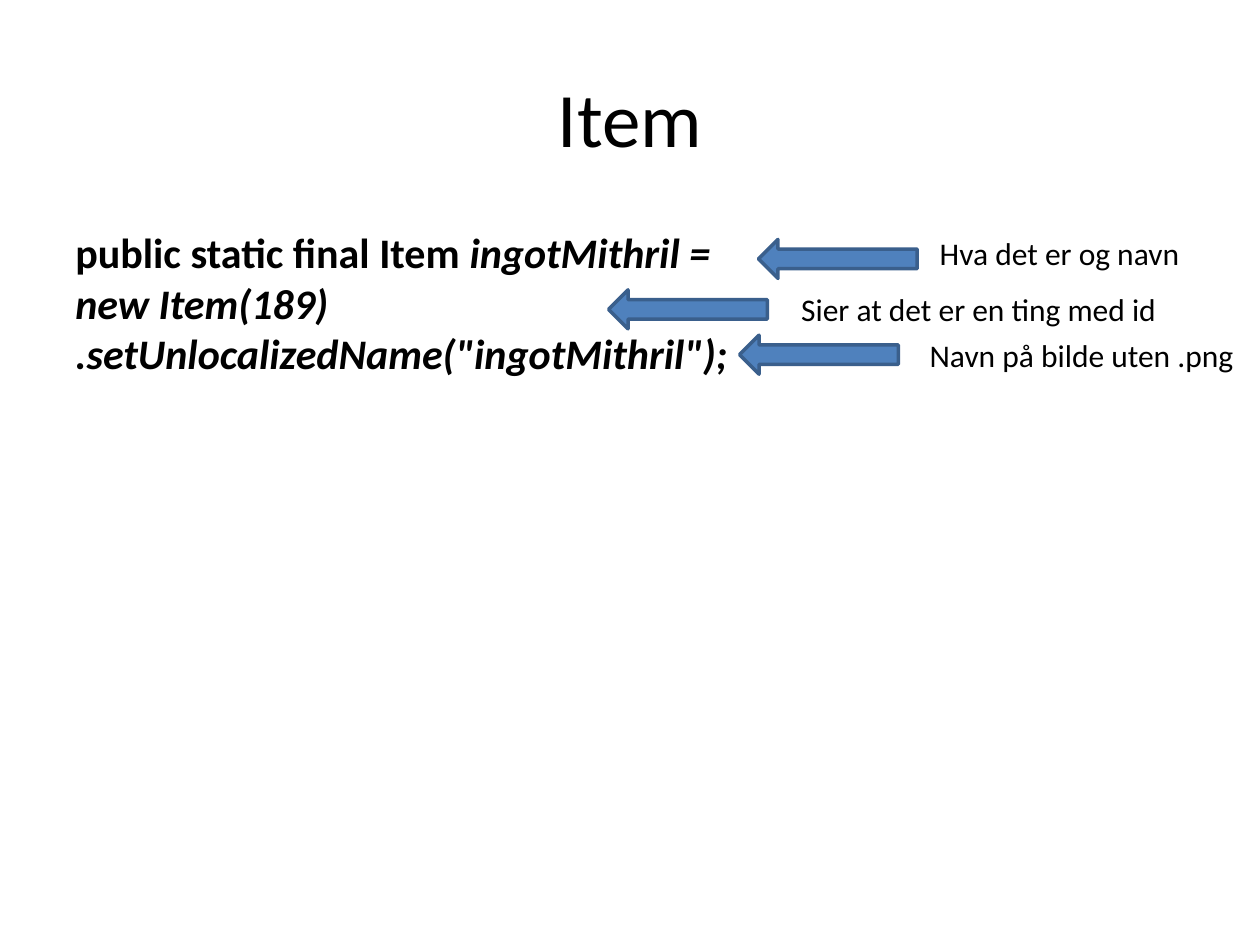
import pptx
import pptx.util
import pptx.dml.color
import pptx.enum.shapes
import pptx.enum.text

BLACK = pptx.dml.color.RGBColor(0x00, 0x00, 0x00)
BLUE = pptx.dml.color.RGBColor(0x4F, 0x81, 0xBD)
DARK_BLUE = pptx.dml.color.RGBColor(0x3A, 0x5F, 0x8C)

prs = pptx.Presentation()
prs.slide_width = pptx.util.Inches(10)
prs.slide_height = pptx.util.Inches(7.5)
s = prs.slides.add_slide(prs.slide_layouts[6])

# The grid has 100 columns and 75 rows, so each cell is a tenth of an inch.
COL = prs.slide_width / 100
ROW = prs.slide_height / 75


def grid(left, top, width, height):
    return [round(n * unit) for n, unit in zip((left, top, width, height), (COL, ROW) * 2)]


def add_text(box, lines, **font):
    """Add a text box; each line is a list of (text, extra font values) runs."""
    tf = s.shapes.add_textbox(*grid(*box)).text_frame
    tf.word_wrap = True
    p = tf.paragraphs[0]
    for i, line in enumerate(lines):
        if i:
            p.add_line_break()
        for text, extra in line:
            r = p.add_run()
            r.text = text
            r.font.color.rgb = BLACK
            for name, value in {"name": "Calibri", **font, **extra}.items():
                setattr(r.font, name, value)
    return tf


tf = add_text((5, 3, 90, 12.5), [[("Item", {})]], size=pptx.util.Pt(44))
tf.vertical_anchor = pptx.enum.text.MSO_ANCHOR.MIDDLE
tf.paragraphs[0].alignment = pptx.enum.text.PP_ALIGN.CENTER

ITALIC = {"italic": True}
code = [
    [("public static final Item ", {}), ("ingotMithril = ", ITALIC)],
    [("new Item(189)", ITALIC)],
    [('.setUnlocalizedName("ingotMithril");', ITALIC)],
]
add_text((5, 17.5, 90, 49.5), code, size=pptx.util.Pt(24), bold=True)

# Arrow column and row, note column and row, note
notes = [
    (60.2, 19.0, 73.6, 18.1, "Hva det er og navn"),
    (48.3, 23.0, 62.6, 22.5, "Sier at det er en ting med id"),
    (58.7, 26.6, 72.8, 26.2, "Navn på bilde uten .png"),
]
for arrow_col, arrow_row, note_col, note_row, note in notes:
    sp = s.shapes.add_shape(pptx.enum.shapes.MSO_SHAPE.LEFT_ARROW,
                            *grid(arrow_col, arrow_row, 12.6, 3.1))
    sp.shadow.inherit = False
    sp.fill.solid()
    sp.fill.fore_color.rgb = BLUE
    sp.line.color.rgb = DARK_BLUE
    sp.line.width = pptx.util.Pt(2)
    add_text((note_col, note_row, 47.5, 4), [[(note, {})]], size=pptx.util.Pt(18))

prs.save("out.pptx")
